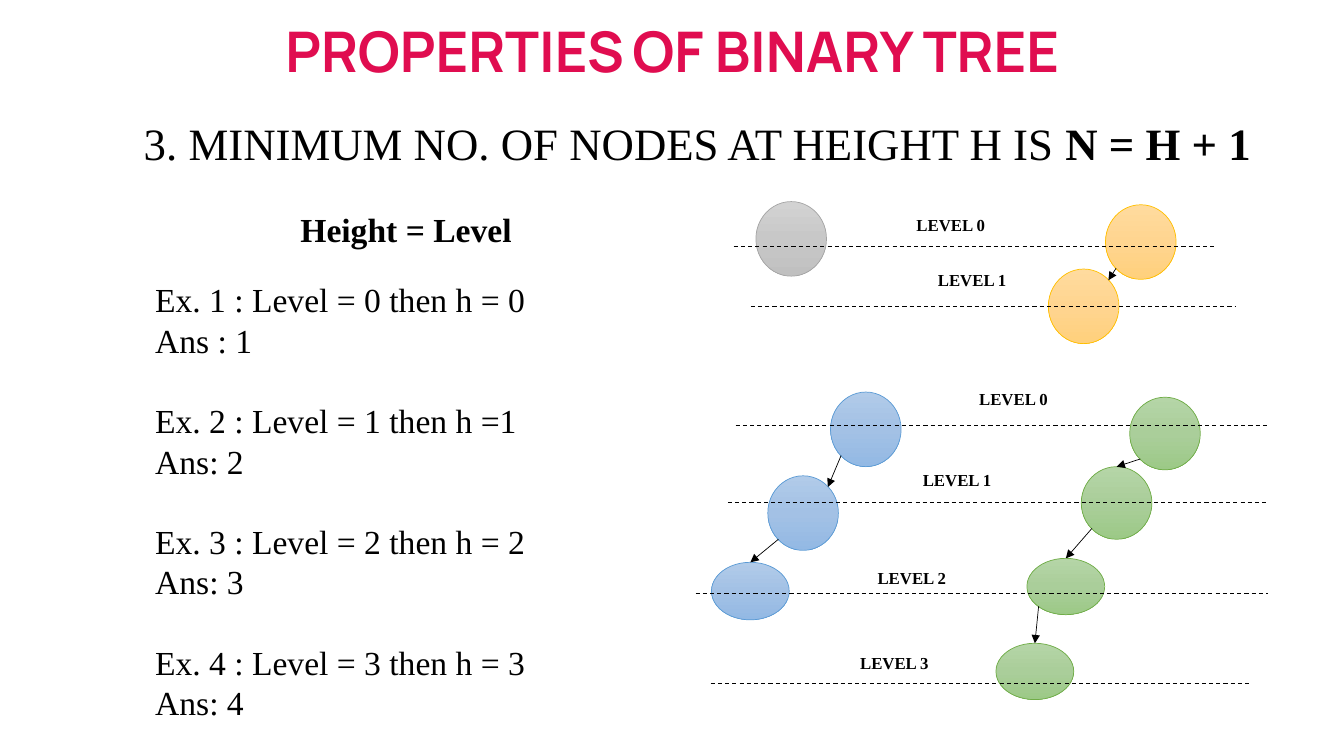
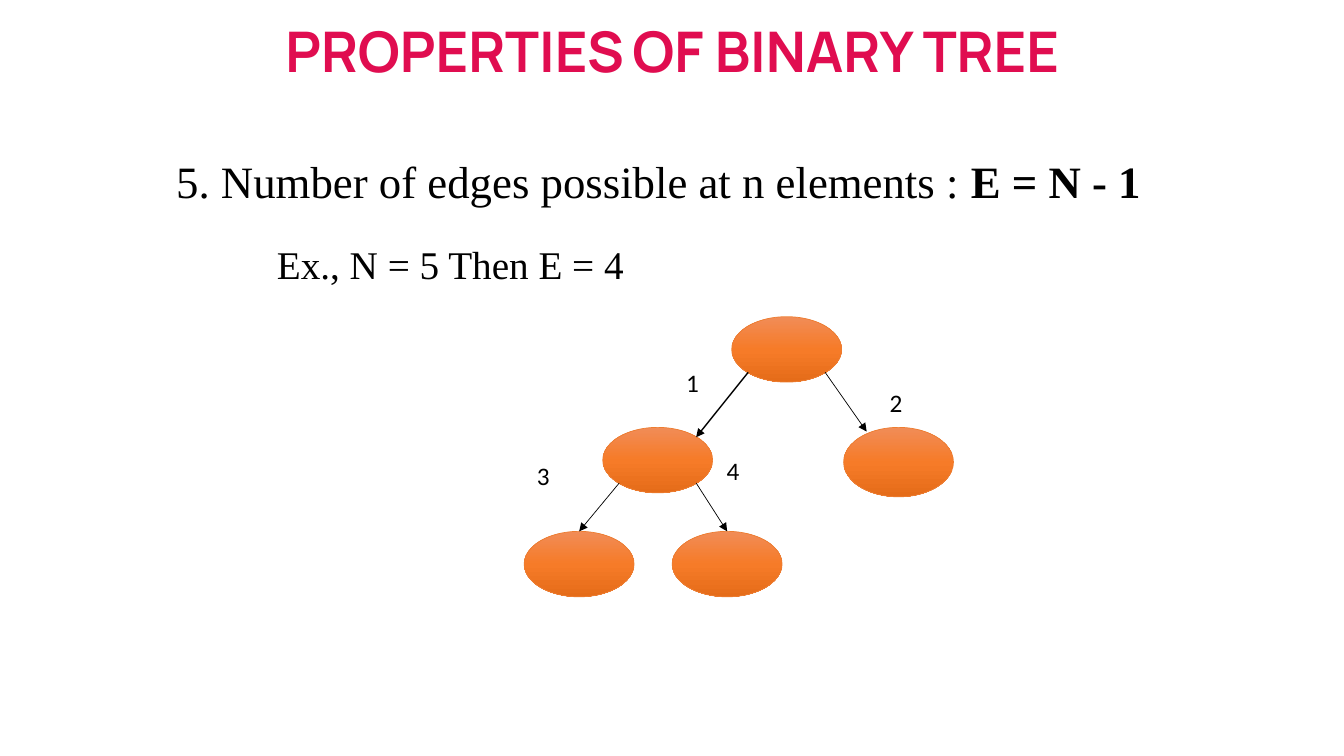
"""Build two slides on the properties of binary trees."""
from copy import deepcopy
from dataclasses import dataclass
from itertools import pairwise

from lxml.etree import SubElement
from pptx import Presentation
from pptx.dml.color import RGBColor
from pptx.enum.dml import MSO_LINE
from pptx.enum.shapes import MSO_CONNECTOR, MSO_SHAPE
from pptx.enum.text import MSO_ANCHOR, PP_ALIGN
from pptx.oxml.ns import qn
from pptx.util import Cm, Pt


@dataclass(frozen=True)
class Theme:
    """Hold the colours, fonts and sizes of the deck."""
    ink: str = "000000"
    accent: str = "E00D50"
    serif: str = "Times New Roman"
    sans: str = "Calibri"
    display: str = "Manrope"
    title: int = 40
    head: int = 32
    sample: int = 28
    body: int = 24
    edge: int = 18
    label: int = 12
    thin: float = 0.5
    rule: float = 0.75
    bold: float = 1
    gray: tuple = ("D2D2D2", "C8C8C8", "C0C0C0", "A5A5A5")
    gold: tuple = ("FFDB9E", "FFD590", "FFD07C", "FFC000")
    blue: tuple = ("B1CBE9", "A3C1E5", "93B9E4", "5B9BD5")
    green: tuple = ("B5D5A7", "AACE9A", "9CC987", "70AD47")
    orange: tuple = ("F18C57", "F67B28", "E56C19", "ED7D31")


THEME = Theme()
NEAR, FAR = 0.15, 0.85
TOP, TOP_RIGHT = (0.5, 0), (FAR, NEAR)
LOW_LEFT, LOW_RIGHT = (NEAR, FAR), (FAR, FAR)
CENTER = {"alignment": PP_ALIGN.CENTER}


def apply(target, form):
    """Set each format value on the target."""
    for name, value in form.items():
        setattr(target, name, value)


def style(size, bold=False, face=THEME.serif, color=THEME.ink):
    """Return the format of a run and its colour."""
    return {"size": Pt(size), "bold": bold, "name": face}, color


def leading(size, **more):
    """Return a paragraph format with even line height."""
    return {"line_spacing": Pt(size * 1.2), **more}


def write(page, box, paras, anchor=MSO_ANCHOR.TOP):
    """Add a text box of paragraphs, each a format and its runs."""
    frame = page.shapes.add_textbox(*map(Cm, box)).text_frame
    apply(frame, {"word_wrap": True, "vertical_anchor": anchor})
    for index, (form, runs) in enumerate(paras):
        para = frame.add_paragraph() if index else frame.paragraphs[0]
        apply(para, form)
        for text, (look, color) in runs:
            run = para.add_run()
            run.text = text
            apply(run.font, look)
            run.font.color.rgb = RGBColor.from_string(color)
    return frame


def title(page):
    """Add the title shared by the slides."""
    look = style(THEME.title, True, THEME.display, THEME.accent)
    runs = [("PROPERTIES", look), (" ", style(THEME.body, True)),
            ("OF BINARY TREE", look)]
    write(page, (5.74, 0.28, 22.4, 1.96), [(CENTER, runs)], MSO_ANCHOR.MIDDLE)


def node(page, box, tones):
    """Add a tree node with a vertical gradient."""
    shape = page.shapes.add_shape(MSO_SHAPE.OVAL, *map(Cm, box))
    shape.shadow.inherit = False
    shape.fill.gradient()
    shape.fill.gradient_angle = 270
    stops = shape._element.spPr.find(".//" + qn("a:gsLst"))
    stops.insert(1, deepcopy(stops[0]))
    stops[1].set("pos", "50000")
    for stop, tone in zip(shape.fill.gradient_stops, tones):
        stop.color.rgb = RGBColor.from_string(tone)
    shape.line.color.rgb = RGBColor.from_string(tones[-1])
    shape.line.width = Pt(THEME.thin)
    return shape


def stroke(page, start, end, form):
    """Add a plain straight line."""
    line = page.shapes.add_connector(MSO_CONNECTOR.STRAIGHT, *start, *end)
    line.line.color.rgb = RGBColor.from_string(THEME.ink)
    apply(line.line, form)
    SubElement(line._element.spPr, qn("a:effectLst"))
    return line


def spot(shape, site):
    """Return the point at a fraction of the shape's size."""
    return (int(shape.left + shape.width * site[0]),
            int(shape.top + shape.height * site[1]))


def arrow(page, above, below, start=LOW_LEFT, end=TOP, width=THEME.thin):
    """Add an arrow from a parent node to its child."""
    line = stroke(page, spot(above, start), spot(below, end),
                  {"width": Pt(width)})
    SubElement(line.line._get_or_add_ln(), qn("a:tailEnd"), type="triangle")
    if end == TOP:
        line.end_connect(below, 0)


def chain(page, boxes, tones, ends=()):
    """Add a chain of nodes joined from top to bottom."""
    nodes = [node(page, box, tones) for box in boxes]
    for (above, below), end in zip(pairwise(nodes), ends):
        arrow(page, above, below, end=end)


def level(page, depth, left, right, high, mid, top):
    """Add the dashed line of a level and its label."""
    stroke(page, (Cm(left), Cm(high)), (Cm(right), Cm(high)),
           {"width": Pt(THEME.rule), "dash_style": MSO_LINE.DASH})
    size, width = THEME.label, 5
    write(page, (mid - width / 2, top, width, 0.86),
          [(leading(size, **CENTER), [(f"LEVEL {depth}", style(size, True))])])


def heights(page):
    """Fill the slide on the least number of nodes."""
    head, body = THEME.head, THEME.body
    write(page, (3.2, 2.79, 28.75, 1.63), [(leading(head, **CENTER), [
        ("3. MINIMUM NO. OF NODES AT HEIGHT H IS ", style(head)),
        ("N = H + 1", style(head, True))])])
    write(page, (6.07, 5.13, 8.33, 1.3), [
        (leading(body, **CENTER), [("Height = Level", style(body, True))])])
    cases = [("Ex. 1 : Level = 0 then h = 0", "Ans : 1"),
             ("Ex. 2 : Level = 1 then h =1", "Ans: 2"),
             ("Ex. 3 : Level = 2 then h = 2", "Ans: 3"),
             ("Ex. 4 : Level = 3 then h = 3", "Ans: 4")]
    paras = []
    for index, (ask, reply) in enumerate(cases):
        gap = {"space_before": Pt(body * 1.2)} if index else {}
        paras += [(leading(body, **gap), [(ask, style(body))]),
                  (leading(body), [(reply, style(body))])]
    write(page, (3.66, 6.91, 12.5, 11.53), paras)

    tall, round_, flat = (1.78, 1.88), (1.78, 1.83), (1.96, 1.42)
    chain(page, [(19.05, 5.08, *tall)], THEME.gray)
    chain(page, [(27.86, 5.16, *tall), (26.42, 6.78, *tall)],
          THEME.gold, [TOP_RIGHT])
    chain(page, [(20.93, 9.88, *tall), (19.35, 11.99, *tall),
                 (17.93, 14.17, 1.96, 1.45)], THEME.blue, [TOP_RIGHT, TOP])
    chain(page, [(28.47, 10.01, *round_), (27.25, 11.76, *round_),
                 (25.88, 14.07, *flat), (25.1, 16.21, *flat)],
          THEME.green, [TOP] * 3)
    for row in [(0, 18.49, 30.66, 6.2, 23.96, 5.28),
                (1, 18.92, 31.12, 7.72, 24.5, 6.68),
                (0, 18.54, 31.95, 10.72, 25.54, 9.68),
                (1, 18.34, 31.9, 12.65, 24.12, 11.71),
                (2, 17.53, 31.95, 14.96, 22.98, 14.17),
                (3, 17.91, 31.52, 17.22, 22.54, 16.33)]:
        level(page, *row)


def edges(page):
    """Fill the slide on the number of edges."""
    head, sample = THEME.head, THEME.sample
    frame = write(page, (4.19, 3.75, 27.56, 4.52), [
        (leading(head), [
            ("5. Number of edges possible at n elements : ", style(head)),
            ("E = N - 1", style(head, True))]),
        (leading(sample, level=2, space_before=Pt(23.5)),
         [("Ex., N = 5 Then E = 4", style(sample))])])
    frame.paragraphs[1]._p.get_or_add_pPr().set("marL", str(Cm(2.54)))

    size = (2.77, 1.65)
    root, left, right, first, last = [
        node(page, box, THEME.orange) for box in [
            (18.44, 7.98, *size), (15.19, 10.77, *size),
            (21.26, 10.77, 2.77, 1.75), (13.21, 13.39, *size),
            (16.94, 13.39, *size)]]
    arrow(page, root, left, end=TOP_RIGHT, width=THEME.bold)
    arrow(page, root, right, LOW_RIGHT, (0.21, 0.06))
    arrow(page, left, first)
    arrow(page, left, last, LOW_RIGHT)
    look = style(THEME.edge, face=THEME.sans)
    for text, *place in [("1", 17.04, 9.14), ("2", 22.17, 9.63),
                         ("3", 13.28, 11.48), ("4", 18.06, 11.35)]:
        write(page, (*place, 1.88, 1.02), [({}, [(text, look)])])


def main():
    """Build and save the deck."""
    deck = Presentation()
    apply(deck, {"slide_width": Cm(33.87), "slide_height": Cm(19.05)})
    for fill in (heights, edges):
        page = deck.slides.add_slide(deck.slide_layouts[6])
        fill(page)
        title(page)
    deck.save("out.pptx")


if __name__ == "__main__":
    main()
